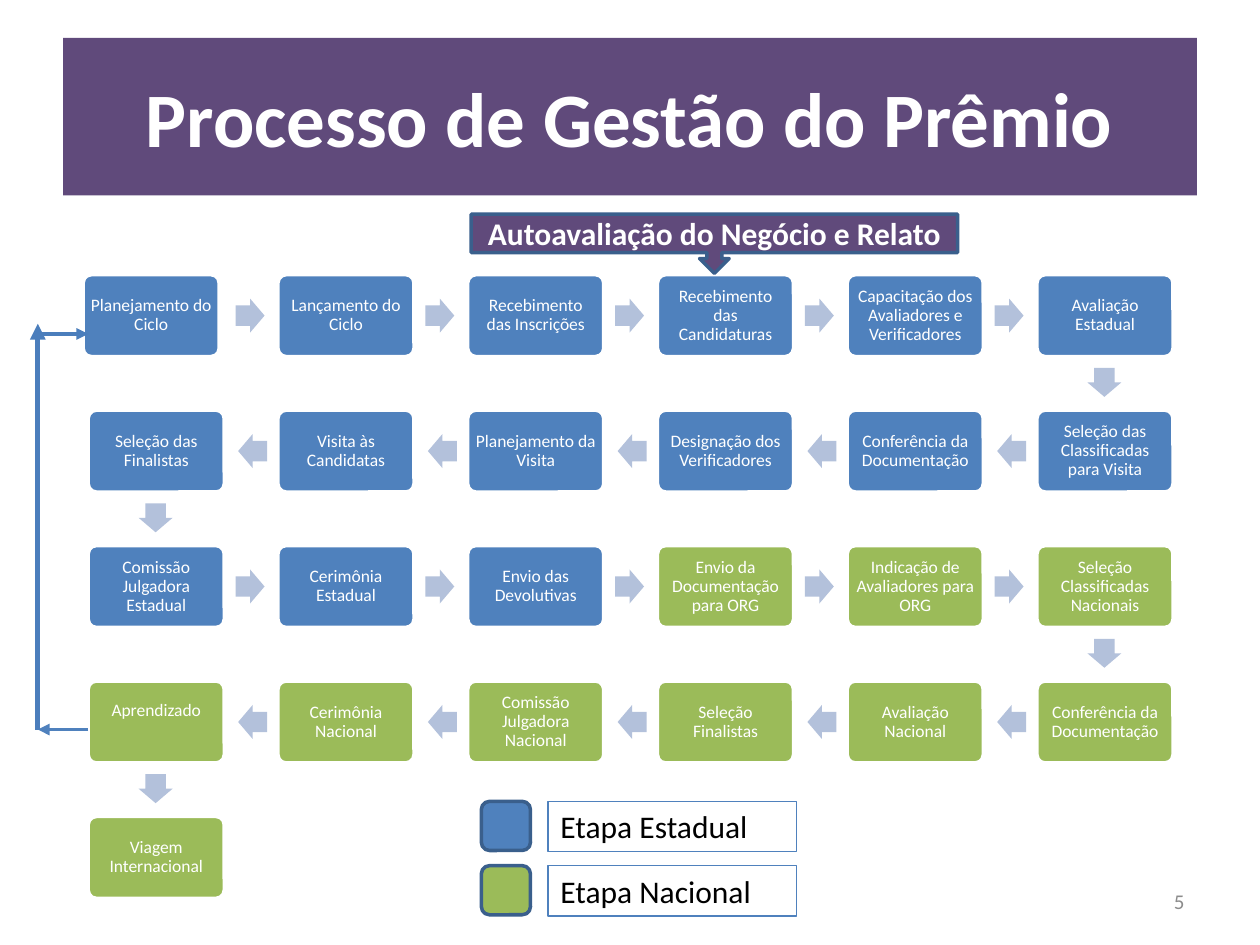
from pptx import Presentation
from pptx.dml.color import RGBColor
from pptx.enum.shapes import MSO_CONNECTOR, MSO_SHAPE
from pptx.enum.text import MSO_ANCHOR, PP_ALIGN
from pptx.util import Inches, Pt
from lxml import etree

BLUE = RGBColor(0x4F, 0x81, 0xBD)
GREEN = RGBColor(0x9B, 0xBB, 0x59)
PURPLE = RGBColor(0x60, 0x4A, 0x7B)
PALE = RGBColor(0xB3, 0xC1, 0xDB)
NAVY = RGBColor(0x3A, 0x5F, 0x8C)
LOOP = RGBColor(0x4B, 0x7E, 0xBC)
WHITE = RGBColor(0xFF, 0xFF, 0xFF)
BLACK = RGBColor(0, 0, 0)
GRAY = RGBColor(0x8C, 0x8C, 0x8C)

show = Presentation()
show.slide_width, show.slide_height = Inches(10), Inches(7.5)
slide = show.slides.add_slide(show.slide_layouts[5])


def draw(kind, left, top, wide, high, fill=None, edge=None, width=0):
    shape = slide.shapes.add_shape(
        kind, Inches(left), Inches(top), Inches(wide), Inches(high))
    shape.shadow.inherit = False
    if fill is None:
        shape.fill.background()
    else:
        shape.fill.solid()
        shape.fill.fore_color.rgb = fill
    if edge is None:
        shape.line.fill.background()
    else:
        shape.line.color.rgb = edge
        shape.line.width = Pt(width)
    return shape


def write(shape, text, size, color, align, anchor=MSO_ANCHOR.MIDDLE, bold=False):
    frame = shape.text_frame
    frame.word_wrap = True
    frame.vertical_anchor = anchor
    para = frame.paragraphs[0]
    para.alignment = align
    run = para.add_run()
    run.text = text
    run.font.name = "Calibri"
    run.font.size = Pt(size)
    run.font.bold = bold
    run.font.color.rgb = color
    return frame


# Title band
title = slide.shapes.title
title.left, title.top = Inches(0.5), Inches(0.3)
title.width, title.height = Inches(9), Inches(1.25)
title.fill.solid()
title.fill.fore_color.rgb = PURPLE
write(title, "Processo de Gestão do Prêmio", 44, WHITE, PP_ALIGN.CENTER, bold=True)

# Steps, winding right and left by row
steps = [
    "Planejamento do Ciclo", "Lançamento do Ciclo", "Recebimento das Inscrições",
    "Recebimento das Candidaturas", "Capacitação dos Avaliadores e Verificadores",
    "Avaliação Estadual",
    "Seleção das Classificadas para Visita", "Conferência da Documentação",
    "Designação dos Verificadores", "Planejamento da Visita",
    "Visita às Candidatas", "Seleção das Finalistas",
    "Comissão Julgadora Estadual", "Cerimônia Estadual", "Envio das Devolutivas",
    "Envio da Documentação para ORG", "Indicação de Avaliadores para ORG",
    "Seleção Classificadas Nacionais",
    "Conferência da Documentação", "Avaliação Nacional", "Seleção Finalistas",
    "Comissão Julgadora Nacional", "Cerimônia Nacional", "Aprendizado",
    "Viagem Internacional",
]
COLS, STATE = 6, 15
LEFT, TOP, WIDE, HIGH = 0.7, 2.18, 1.08, 0.65
across = (8.23 - LEFT) / (COLS - 1)
down = (6.48 - TOP) / 4

for i, text in enumerate(steps):
    row, pos = divmod(i, COLS)
    back = row % 2 == 1
    col = COLS - 1 - pos if back else pos
    x, y = LEFT + col * across, TOP + row * down
    box = draw(MSO_SHAPE.ROUNDED_RECTANGLE, x - 0.04 if i == 0 else x, y, WIDE, HIGH,
               BLUE if i < STATE else GREEN, WHITE, 2)
    box.adjustments[0] = 0.1
    frame = write(box, text, 10, WHITE, PP_ALIGN.CENTER)
    frame.margin_left = frame.margin_right = Inches(0.04)
    frame.margin_top = Inches(0.06)
    frame.margin_bottom = Inches(0.23 if text == "Aprendizado" else 0.06)
    frame.paragraphs[0].line_spacing = 0.9

    # Arrow to the next step
    if i == len(steps) - 1:
        continue
    if pos == COLS - 1:
        spot, turn = (x + 0.42, y + 0.72), 90
    elif back:
        spot, turn = (x - across + 1.19, y + 0.19), 180
    else:
        spot, turn = (x + 1.17, y + 0.19), 0
    arrow = draw(MSO_SHAPE.RIGHT_ARROW, *spot, 0.23, 0.27, PALE)
    arrow.adjustments[0] = 0.6
    arrow.rotation = turn

# Slide number
page = slide.shapes.add_textbox(Inches(7.17), Inches(6.95), Inches(2.33), Inches(0.4))
write(page, "5", 12, GRAY, PP_ALIGN.RIGHT)

# Feedback loop from the last row to the first step
for x1, y1, x2, y2, color, width in [
    (0.7, 5.79, 0.3, 5.79, BLUE, 2.25),
    (0.3, 5.79, 0.3, 2.57, LOOP, 3),
    (0.3, 2.65, 0.7, 2.65, LOOP, 2.25),
]:
    link = slide.shapes.add_connector(
        MSO_CONNECTOR.STRAIGHT, Inches(x1), Inches(y1), Inches(x2), Inches(y2))
    link.line.color.rgb = color
    link.line.width = Pt(width)
    space = "{http://schemas.openxmlformats.org/drawingml/2006/main}"
    etree.SubElement(link.line._get_or_add_ln(), space + "tailEnd", type="triangle")
    etree.SubElement(link._element.spPr, space + "effectLst")

# Legend
for top, name, fill in [(6.36, "Etapa Estadual", BLUE), (6.87, "Etapa Nacional", GREEN)]:
    draw(MSO_SHAPE.ROUNDED_RECTANGLE, 3.82, top, 0.39, 0.39, fill, NAVY, 2)
    label = draw(MSO_SHAPE.RECTANGLE, 4.35, top, 1.97, 0.4, None, BLUE, 0.75)
    write(label, name, 18, BLACK, PP_ALIGN.LEFT, MSO_ANCHOR.TOP)

# Callout above the fourth step
call = draw(MSO_SHAPE.DOWN_ARROW_CALLOUT, 3.74, 1.7, 3.86, 0.47, PURPLE, NAVY, 2)
write(call, "Autoavaliação do Negócio e Relato", 18, WHITE, PP_ALIGN.CENTER, bold=True)

show.save("out.pptx")
